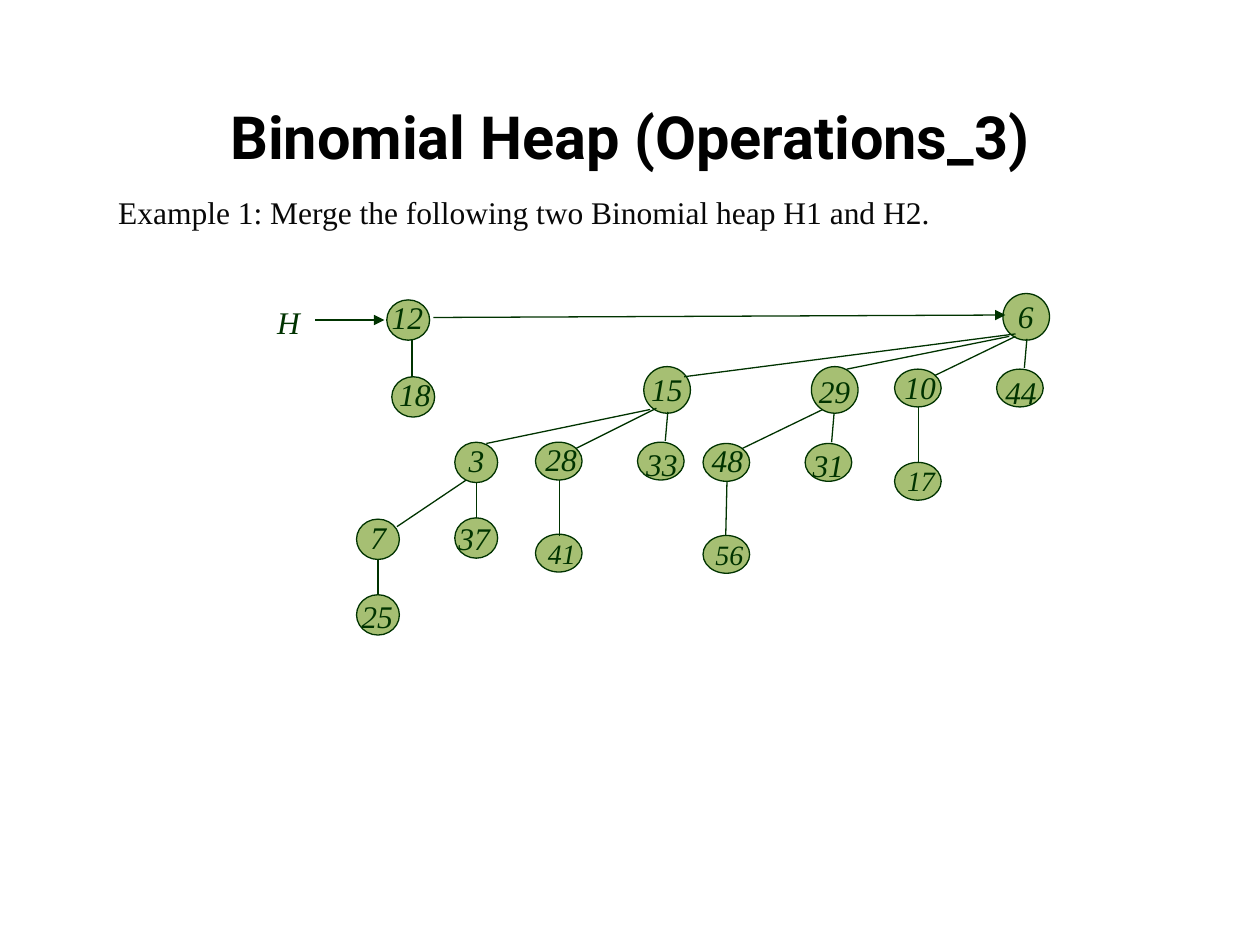
import pptx
import pptx.dml.color
import pptx.enum.shapes
import pptx.enum.text
import pptx.oxml
import pptx.util
from pptx.util import Inches

BLACK = pptx.dml.color.RGBColor(0x00, 0x00, 0x00)
BODY = pptx.dml.color.RGBColor(0x08, 0x08, 0x08)
DARK_GREEN = pptx.dml.color.RGBColor(0x00, 0x33, 0x00)
LEAF_GREEN = pptx.dml.color.RGBColor(0xA6, 0xBF, 0x73)
SERIF = "Times New Roman"
ALIGN = pptx.enum.text.PP_ALIGN

deck = pptx.Presentation()
deck.slide_width, deck.slide_height = Inches(10), Inches(7.5)
page = deck.slides.add_slide(deck.slide_layouts[5])


def write(box, text, size, color, align=ALIGN.LEFT, name=SERIF, bold=False, italic=False):
    box.text_frame.word_wrap = True
    para = box.text_frame.paragraphs[0]
    para.alignment = align
    span = para.add_run()
    span.text = text
    look = {"size": pptx.util.Pt(size), "name": name, "bold": bold, "italic": italic}
    for key, value in look.items():
        setattr(span.font, key, value)
    span.font.color.rgb = color


# Title and task
title = page.shapes.title
title_place = {"left": 0.5, "top": 0.68, "width": 9, "height": 0.79}
for key, value in title_place.items():
    setattr(title, key, Inches(value))
title.text_frame.vertical_anchor = pptx.enum.text.MSO_ANCHOR.MIDDLE
write(title, "Binomial Heap (Operations_3)", 34, BLACK, ALIGN.CENTER, "Roboto", bold=True)

task = page.shapes.add_textbox(Inches(0.84), Inches(1.48), Inches(7.86), Inches(0.62))
write(task, "Example 1: Merge the following two Binomial heap H1 and H2.", 18, BODY, ALIGN.JUSTIFY)

# Heap nodes: circle left and top by circle size
nodes = {
    (0.34, 0.32): [
        (3.07, 2.38), (3.11, 2.99), (3.61, 3.51), (3.61, 4.11), (2.83, 4.12), (2.83, 4.72),
    ],
    (0.37, 0.3): [
        (7.1, 2.93), (7.1, 3.67), (7.91, 2.93),
        (5.58, 3.52), (5.58, 4.25), (6.39, 3.52),
        (4.25, 3.51), (4.25, 4.24), (5.06, 3.51),
    ],
    (0.37, 0.37): [(7.96, 2.33), (6.44, 2.91), (5.11, 2.91)],
}
for (width, height), places in nodes.items():
    for left, top in places:
        node = page.shapes.add_shape(
            pptx.enum.shapes.MSO_SHAPE.OVAL,
            Inches(left), Inches(top), Inches(width), Inches(height))
        node.shadow.inherit = False
        node.fill.solid()
        node.fill.fore_color.rgb = LEAF_GREEN
        node.line.color.rgb = DARK_GREEN
        node.line.width = pptx.util.Pt(0.75)

# Edges between parents and children, and arrows along the root list
edges = [
    (8.15, 2.69, 8.13, 2.92), (7.42, 2.98, 8.06, 2.67),
    (6.72, 2.93, 8.01, 2.67), (5.43, 2.99, 8.06, 2.65),
    (7.29, 3.23, 7.29, 3.67),
    (6.62, 3.28, 6.6, 3.51), (5.89, 3.56, 6.53, 3.25), (5.77, 3.82, 5.76, 4.25),
    (5.3, 3.27, 5.28, 3.5), (4.57, 3.56, 5.21, 3.24), (4.44, 3.81, 4.44, 4.25),
    (3.86, 3.52, 5.16, 3.25), (3.78, 3.83, 3.78, 4.11),
    (3.15, 4.18, 3.7, 3.81), (3, 4.44, 3, 4.72),
    (3.27, 2.7, 3.27, 2.99),
]
root_arrows = [(2.5, 2.54, 3.05, 2.54), (3.44, 2.52, 7.98, 2.5)]
for ends in edges + root_arrows:
    edge = page.shapes.add_connector(
        pptx.enum.shapes.MSO_CONNECTOR.STRAIGHT, *[Inches(value) for value in ends])
    edge.line.color.rgb = DARK_GREEN
    edge.line.width = pptx.util.Pt(0.75)
    if ends in root_arrows:
        line = edge.line._get_or_add_ln()
        head = pptx.oxml.xmlchemy.OxmlElement("a:tailEnd")
        head.set("type", "triangle")
        line.append(head)
    edge._element.spPr.append(pptx.oxml.xmlchemy.OxmlElement("a:effectLst"))

# Labels: text, left, top, width, size
labels = [
    ("H", 2.1, 2.36, 0.61, 18),
    ("12", 3.01, 2.32, 0.55, 18), ("18", 3.07, 2.93, 0.55, 18),
    ("6", 7.98, 2.31, 0.47, 18), ("44", 7.88, 2.91, 0.49, 18),
    ("10", 7.08, 2.87, 0.47, 18), ("17", 7.1, 3.63, 0.59, 16),
    ("29", 6.4, 2.9, 0.47, 18), ("31", 6.35, 3.49, 0.49, 18),
    ("48", 5.55, 3.45, 0.47, 18), ("56", 5.58, 4.22, 0.59, 16),
    ("15", 5.07, 2.89, 0.47, 18), ("33", 5.03, 3.48, 0.49, 18),
    ("28", 4.23, 3.44, 0.47, 18), ("41", 4.25, 4.21, 0.59, 16),
    ("3", 3.62, 3.45, 0.42, 18), ("37", 3.54, 4.07, 0.47, 18),
    ("7", 2.84, 4.06, 0.42, 18), ("25", 2.77, 4.69, 0.47, 18),
]
for text, left, top, width, size in labels:
    height = 0.4 if size == 18 else 0.37
    box = page.shapes.add_textbox(Inches(left), Inches(top), Inches(width), Inches(height))
    write(box, text, size, DARK_GREEN, italic=True)

deck.save("out.pptx")
